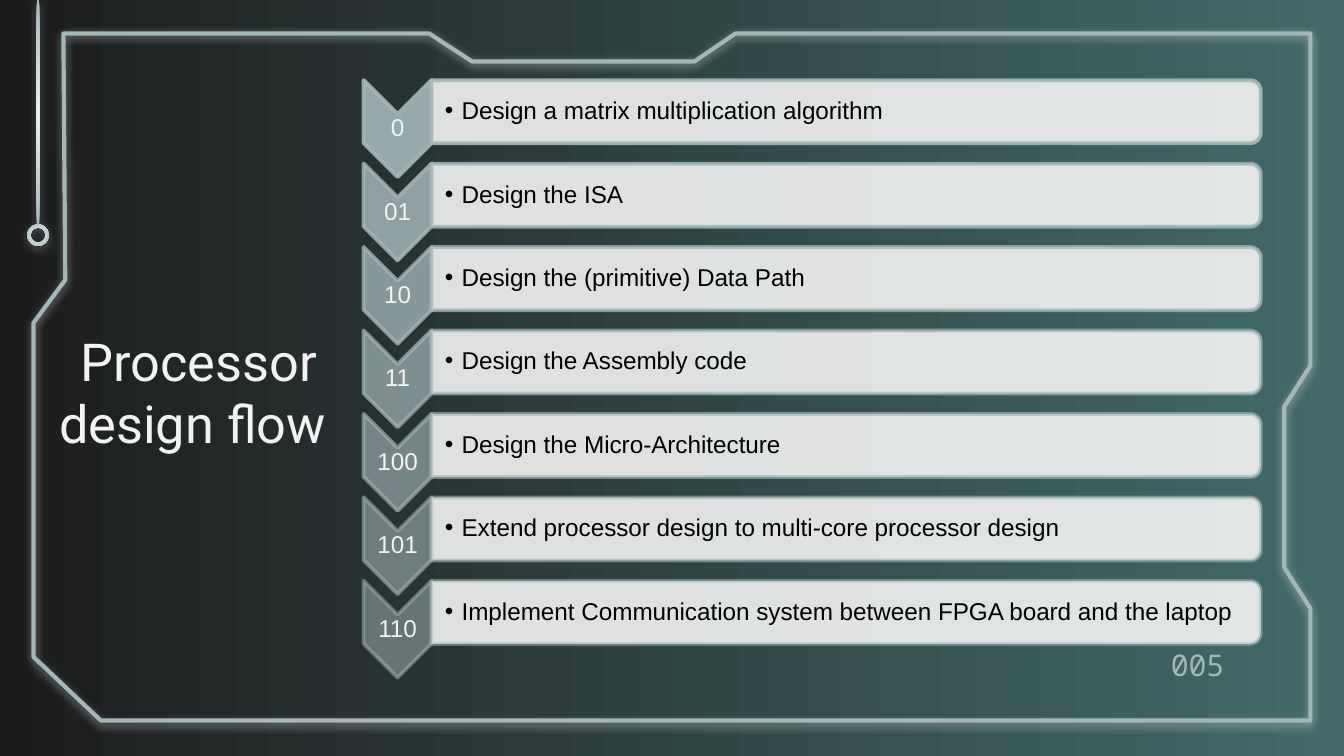
"""Build the processor design flow slide."""
import pptx
import pptx.util
import pptx.dml.color
import pptx.enum.shapes
import pptx.enum.text
import pptx.oxml
import pptx.oxml.ns

Pt = pptx.util.Pt
MSO_SHAPE = pptx.enum.shapes.MSO_SHAPE
PP_ALIGN = pptx.enum.text.PP_ALIGN
NAMESPACE = pptx.oxml.ns.nsdecls("a")
PALE, GREY, BLACK = "F3F3F3", "A3B7B9", "000000"


def paint(color_format, color, opacity=100):
    """Apply a hex colour and its opacity in percent."""
    color_format.rgb = pptx.dml.color.RGBColor.from_string(color)
    if opacity < 100:
        alpha = pptx.oxml.parse_xml(f'<a:alpha {NAMESPACE} val="{opacity * 1000}"/>')
        color_format._xFill[0].append(alpha)


def write(shape, text, font_name, size, color, alignment, insets):
    """Fill a shape with one vertically centred paragraph."""
    frame = shape.text_frame
    frame.word_wrap = True
    frame.auto_size = pptx.enum.text.MSO_AUTO_SIZE.NONE
    frame.vertical_anchor = pptx.enum.text.MSO_ANCHOR.MIDDLE
    frame.margin_left, frame.margin_top, frame.margin_right, frame.margin_bottom = map(Pt, insets)
    frame.text = text
    paragraph = frame.paragraphs[0]
    paragraph.alignment = alignment
    font = paragraph.runs[0].font
    font.name, font.size = font_name, Pt(size)
    paint(font.color, color)
    return paragraph


presentation = pptx.Presentation()
presentation.slide_width, presentation.slide_height = Pt(720), Pt(405)
slide = presentation.slides.add_slide(presentation.slide_layouts[5])
shapes = slide.shapes

background = slide.background.fill
background.gradient()
background.gradient_angle = 0
for stop, color, position in zip(background.gradient_stops, ("1C1C1C", "426B6A"), (0, 1)):
    paint(stop.color, color)
    stop.position = position

frame_points = [
    (702.5, 18), (394, 18), (371.5, 33), (253, 33), (229.5, 18), (34.5, 18),
    (35, 150.5), (17.5, 173), (17.5, 352), (53.5, 386.5), (702.5, 386.5),
    (702.5, 325.5), (688, 304), (688, 218), (702.5, 196),
]
builder = shapes.build_freeform(*frame_points[0], scale=Pt(1))
builder.add_line_segments(frame_points[1:], close=True)
border = builder.convert_to_shape()
border.fill.background()
border.line.width = Pt(2.25)
paint(border.line.color, GREY)

stem = shapes.add_shape(MSO_SHAPE.RECTANGLE, Pt(19.6), Pt(0), Pt(1.6), Pt(121))
ring = shapes.add_shape(MSO_SHAPE.DONUT, Pt(14.6), Pt(120.2), Pt(11.6), Pt(11.6))
ring.adjustments[0] = 0.15
for shape in (stem, ring):
    shape.line.fill.background()
    shape.fill.gradient()
    for stop, color, position in zip(shape.fill.gradient_stops, (PALE, GREY), (0, 1)):
        paint(stop.color, color)
        stop.position = position
    gradient = shape._element.spPr.find(pptx.oxml.ns.qn("a:gradFill"))
    gradient.replace(gradient.find(pptx.oxml.ns.qn("a:lin")), pptx.oxml.parse_xml(
        f'<a:path {NAMESPACE} path="circle">'
        '<a:fillToRect l="50000" t="50000" r="50000" b="50000"/></a:path>'))

for shape, color in ((border, PALE), (stem, GREY), (ring, GREY)):
    shape._element.spPr.append(pptx.oxml.parse_xml(
        f'<a:effectLst {NAMESPACE}><a:outerShdw blurRad="{Pt(4.5)}" dist="{Pt(1.5)}" '
        f'dir="5400000" algn="bl" rotWithShape="0"><a:srgbClr val="{color}">'
        '<a:alpha val="50000"/></a:srgbClr></a:outerShdw></a:effectLst>'))

title = shapes.title
title.left, title.top, title.width, title.height = Pt(18.7), Pt(146), Pt(175.7), Pt(127.5)
write(title, "Processor design flow ", "Roboto", 28, PALE, PP_ALIGN.CENTER, (7.2,) * 4)

number_box = shapes.add_textbox(Pt(620), Pt(349.5), Pt(43), Pt(13.5))
write(number_box, "005", "Noto Sans Mono", 16, GREY, PP_ALIGN.RIGHT, (0, 0, 7.2, 0))

steps = [
    ("0", "Design a matrix multiplication algorithm"),
    ("01", "Design the ISA"),
    ("10", "Design the (primitive) Data Path"),
    ("11", "Design the Assembly code"),
    ("100", "Design the Micro-Architecture"),
    ("101", "Extend processor design to multi-core processor design"),
    ("110", "Implement Communication system between FPGA board and the laptop"),
]
row_pitch = 44.7
for index, (label, description) in enumerate(steps):
    offset = index * row_pitch
    opacity = round(90 - index * 40 / 6)

    chevron = shapes.add_shape(MSO_SHAPE.CHEVRON, Pt(187), Pt(50.7 + offset), Pt(52), Pt(36.4))
    bar = shapes.add_shape(
        MSO_SHAPE.ROUND_2_SAME_RECTANGLE, Pt(436.4), Pt(-162.2 + offset), Pt(33.8), Pt(444.2))
    for shape, color, fill_opacity in ((chevron, GREY, opacity), (bar, PALE, 90)):
        shape.rotation = 90
        shape.shadow.inherit = False
        shape.fill.solid()
        paint(shape.fill.fore_color, color, fill_opacity)
        shape.line.width = Pt(2)
        paint(shape.line.color, GREY, opacity)

    label_box = shapes.add_textbox(Pt(194.8), Pt(61.2 + offset), Pt(36.4), Pt(15.6))
    paragraph = write(label_box, label, "Arial", 13, PALE, PP_ALIGN.CENTER, (0.6,) * 4)
    paragraph.line_spacing = 0.9

    description_box = shapes.add_textbox(Pt(231.2), Pt(44.7 + offset), Pt(442), Pt(30.4))
    paragraph = write(
        description_box, description, "Arial", 13, BLACK, PP_ALIGN.LEFT, (7.2, 0.6, 0.6, 0.6))
    paragraph.line_spacing = 0.9
    properties = paragraph._p.get_or_add_pPr()
    properties.set("marL", str(Pt(9)))
    properties.set("indent", str(Pt(-9)))
    for bullet in (f'<a:buClr {NAMESPACE}><a:srgbClr val="{BLACK}"/></a:buClr>',
                   f'<a:buFont {NAMESPACE} typeface="Arial"/>',
                   f'<a:buChar {NAMESPACE} char="•"/>'):
        properties.append(pptx.oxml.parse_xml(bullet))

presentation.save("out.pptx")
